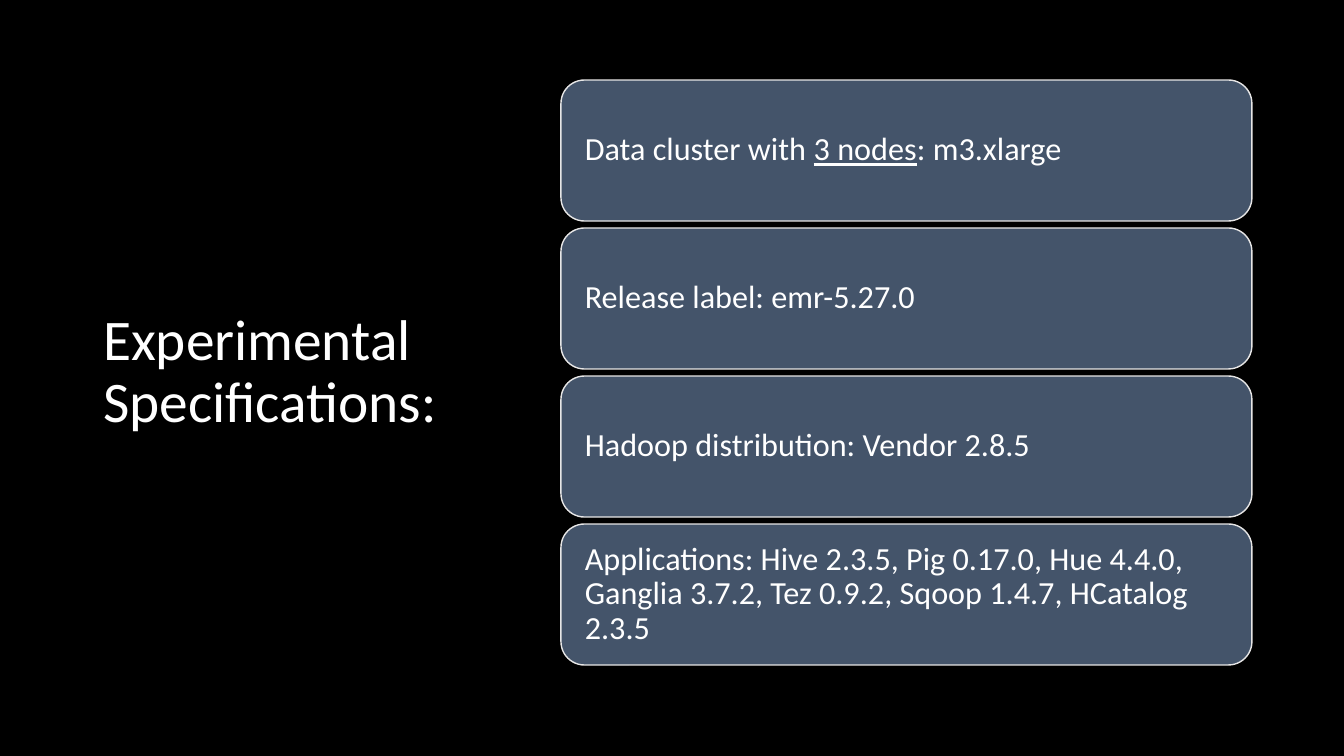
from pptx import Presentation
from pptx.dml.color import RGBColor
from pptx.enum.shapes import MSO_SHAPE
from pptx.enum.text import MSO_ANCHOR, MSO_AUTO_SIZE, PP_ALIGN
from pptx.util import Pt

TITLE = "Experimental Specifications:\u00a0".strip()
# Each specification is a list of (text, underlined) runs.
SPECIFICATIONS = [
    [("Data cluster with ", False), ("3 nodes", True), (": m3.xlarge", False)],
    [("Release label: emr-5.27.0", False)],
    [("Hadoop distribution: Vendor 2.8.5", False)],
    [("Applications: Hive 2.3.5, Pig 0.17.0, Hue 4.4.0, Ganglia 3.7.2, "
      "Tez 0.9.2, Sqoop 1.4.7, HCatalog 2.3.5", False)],
]

SLIDE_SIZE = (1344, 756)
TITLE_BOX = (93, 69, 372, 607)
CARD_LEFT, CARD_TOP, CARD_WIDTH, CARD_HEIGHT = 561, 80, 691, 141
CARD_GAP = 7
CARD_INSET = 17
BLACK, WHITE, SLATE, PALE = "000000", "FFFFFF", "44546A", "E7E6E6"


def px(length):
    return round(length * 914400 / 100.8)


def color(value):
    return RGBColor.from_string(value)


def write(frame, runs, size):
    """Fill a frame with one left-aligned, vertically centred paragraph."""
    frame.word_wrap = True
    frame.auto_size = MSO_AUTO_SIZE.NONE
    frame.vertical_anchor = MSO_ANCHOR.MIDDLE
    paragraph = frame.paragraphs[0]
    paragraph.alignment = PP_ALIGN.LEFT
    paragraph.line_spacing = 0.9
    for text, underlined in runs:
        run = paragraph.add_run()
        run.text = text
        run.font.name = "Calibri"
        run.font.size = Pt(size)
        run.font.color.rgb = color(WHITE)
        run.font.underline = underlined


def add_card(slide, top, runs):
    card = slide.shapes.add_shape(
        MSO_SHAPE.ROUNDED_RECTANGLE,
        px(CARD_LEFT), px(top), px(CARD_WIDTH), px(CARD_HEIGHT))
    card.shadow.inherit = False
    card.fill.solid()
    card.fill.fore_color.rgb = color(SLATE)
    card.line.color.rgb = color(PALE)
    card.line.width = Pt(1)
    frame = card.text_frame
    frame.margin_left = frame.margin_right = px(CARD_INSET)
    frame.margin_top = frame.margin_bottom = px(CARD_INSET)
    write(frame, runs, 23)


def main():
    presentation = Presentation()
    presentation.slide_width, presentation.slide_height = map(px, SLIDE_SIZE)
    slide = presentation.slides.add_slide(presentation.slide_layouts[5])
    slide.background.fill.solid()
    slide.background.fill.fore_color.rgb = color(BLACK)

    title = slide.shapes.title
    title.left, title.top, title.width, title.height = map(px, TITLE_BOX)
    write(title.text_frame, [(TITLE, False)], 41)

    for row, runs in enumerate(SPECIFICATIONS):
        add_card(slide, CARD_TOP + row * (CARD_HEIGHT + CARD_GAP), runs)

    presentation.save("out.pptx")


if __name__ == "__main__":
    main()
